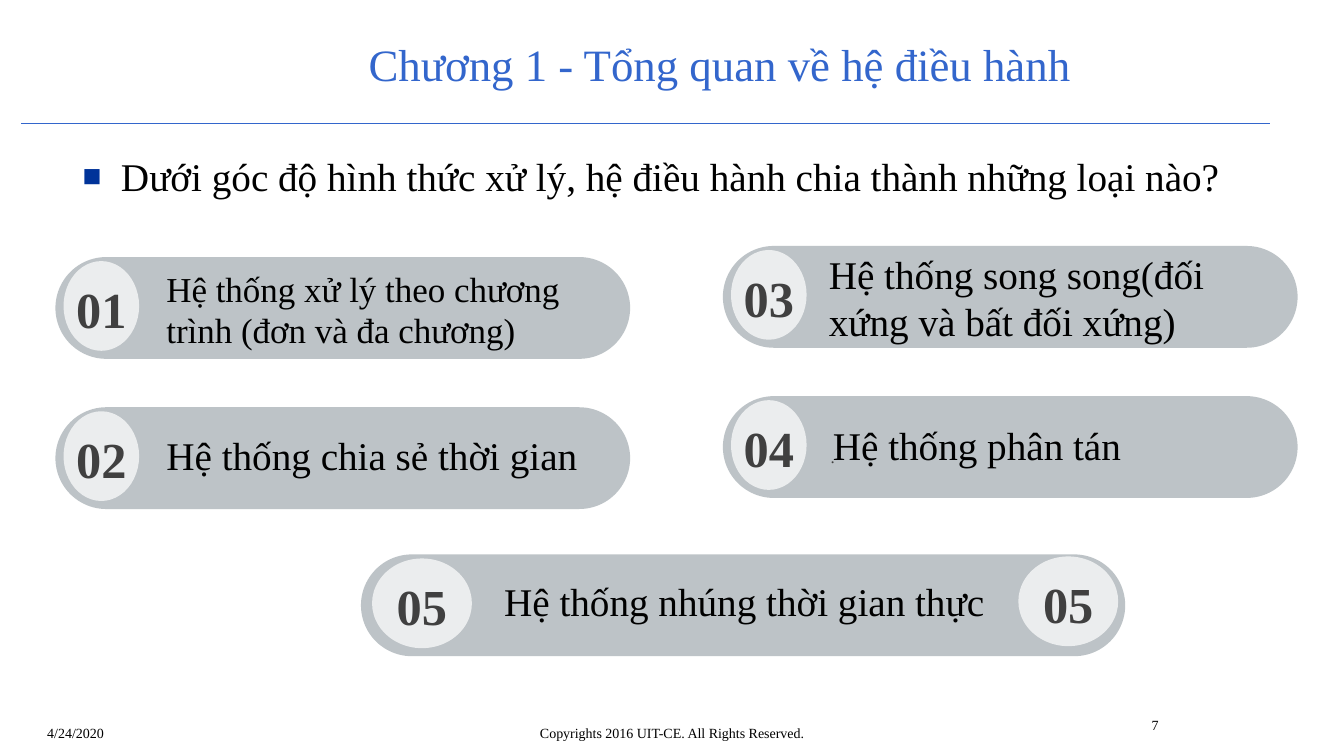
from dataclasses import dataclass

from lxml import etree
from pptx import Presentation
from pptx.dml.color import RGBColor
from pptx.enum.shapes import MSO_CONNECTOR, MSO_SHAPE
from pptx.enum.text import MSO_ANCHOR, MSO_AUTO_SIZE, PP_ALIGN
from pptx.oxml.ns import qn
from pptx.util import Inches, Pt

LEFT, CENTER, RIGHT = PP_ALIGN.LEFT, PP_ALIGN.CENTER, PP_ALIGN.RIGHT
TOP, MIDDLE = MSO_ANCHOR.TOP, MSO_ANCHOR.MIDDLE
PILL, DISC = MSO_SHAPE.ROUNDED_RECTANGLE, MSO_SHAPE.OVAL


@dataclass(frozen=True)
class Theme:
    font: str = "Times New Roman"
    accent: str = "3366CC"
    bullet: str = "003399"
    ink: str = "000000"
    number: str = "404040"
    pill: str = "5B6973"
    disc: str = "FFFFFF"
    title_size: int = 32
    body_size: int = 28
    compact_size: int = 25
    number_size: int = 36
    dot_size: int = 12
    footer_size: int = 10


THEME = Theme()
SLIDE_SIZE = (13.33, 7.5)
COLUMNS = (0.55, 7.17)
COLUMN_TOPS = (2.55, 2.44)
ROW_PITCH = 1.49
PILL_SIZE = (5.7, 1.01)
WIDE_PILL = (3.58, 5.5, 7.58, 1.01)

# column, row, number, text, type size, text box relative to the pill
SYSTEMS = (
    (0, 0, "01", "Hệ thống xử lý theo chương trình (đơn và đa chương)",
     THEME.compact_size, (0.98, 0.05, 4.72, 0.94)),
    (0, 1, "02", "Hệ thống chia sẻ thời gian", THEME.body_size, (0.98, 0.19, 4.72, 0.57)),
    (1, 0, "03", "Hệ thống song song(đối xứng và bất đối xứng)",
     THEME.body_size, (0.93, -0.01, 4.28, 1.04)),
    (1, 1, "04", "Hệ thống phân tán", THEME.body_size, (0.97, 0.2, 4.28, 0.57)),
)


def inches(box):
    return [Inches(length) for length in box]


def write(frame, text, size, color=THEME.ink, align=LEFT, anchor=TOP, bold=False):
    frame.word_wrap = True
    frame.auto_size = MSO_AUTO_SIZE.NONE
    frame.vertical_anchor = anchor
    para = frame.paragraphs[0]
    para.text = text
    para.alignment = align
    para.space_before = Pt(0)
    para.font.name = THEME.font
    para.font.size = Pt(size)
    para.font.bold = bold
    para.font.color.rgb = RGBColor.from_string(color)


def add_text(parent, box, text, size, inset=0.12, **style):
    frame = parent.shapes.add_textbox(*inches(box)).text_frame
    frame.margin_left = frame.margin_right = Inches(inset)
    write(frame, text, size, **style)


def add_glass(parent, kind, box, color, alpha):
    """Adds a borderless shape whose fill has the given opacity in percent."""
    shape = parent.shapes.add_shape(kind, *inches(box))
    shape.shadow.inherit = False
    shape.line.fill.background()
    shape.fill.solid()
    shape.fill.fore_color.rgb = RGBColor.from_string(color)
    tint = shape.fill._xPr.find(".//" + qn("a:srgbClr"))
    etree.SubElement(tint, qn("a:alpha"), val=str(alpha * 1000))
    return shape


def add_badge(parent, left, top, width, number):
    add_glass(parent, DISC, (left, top, width, 0.89), THEME.disc, 70)
    box = (left - width * 0.1, top + 0.11, width * 1.2, 0.71)
    add_text(parent, box, number, THEME.number_size, color=THEME.number,
             align=CENTER, anchor=MIDDLE, bold=True)


def add_pill(page, box, number, text, size, text_box, disc=(0.08, 0.75)):
    left, top = box[:2]
    group = page.shapes.add_group_shape()
    add_glass(group, PILL, box, THEME.pill, 40).adjustments[0] = 0.5
    add_badge(group, left + disc[0], top + 0.04, disc[1], number)
    dx, dy, width, height = text_box
    add_text(group, (left + dx, top + dy, width, height), text, size)
    return group


def place(holder, box):
    holder.left, holder.top, holder.width, holder.height = inches(box)
    return holder.text_frame


def add_heading(page):
    rule = page.shapes.add_connector(MSO_CONNECTOR.STRAIGHT, *inches((0.21, 1.23, 12.6, 1.23)))
    rule.line.color.rgb = RGBColor.from_string(THEME.accent)
    rule.line.width = Pt(0.75)
    etree.SubElement(rule._element.spPr, qn("a:effectLst"))
    write(place(page.shapes.title, (3.12, 0.25, 8.04, 0.76)),
          "Chương 1 - Tổng quan về hệ điều hành", THEME.title_size,
          color=THEME.accent, align=CENTER, anchor=MIDDLE)


def add_question(page):
    frame = place(page.placeholders[1], (0.72, 1.46, 12.6, 0.71))
    props = frame.paragraphs[0]._p.get_or_add_pPr()
    props.set("marL", str(Inches(0.38)))
    props.set("indent", str(-Inches(0.38)))
    color = etree.SubElement(props, qn("a:buClr"))
    etree.SubElement(color, qn("a:srgbClr"), val=THEME.bullet)
    etree.SubElement(props, qn("a:buSzPct"), val="80000")
    etree.SubElement(props, qn("a:buFont"), typeface=THEME.font)
    etree.SubElement(props, qn("a:buChar"), char="■")
    write(frame, "Dưới góc độ hình thức xử lý, hệ điều hành chia thành những loại nào?",
          THEME.body_size)


def add_systems(page):
    for column, row, number, text, size, text_box in SYSTEMS:
        box = (COLUMNS[column], COLUMN_TOPS[column] + row * ROW_PITCH, *PILL_SIZE)
        group = add_pill(page, box, number, text, size, text_box)
    # Small dot beside the text of the last pill in the grid
    add_text(group, (8.14, 4.38, 4.28, 0.3), ".", THEME.dot_size,
             inset=0.1, color=THEME.number)
    # Wide pill with a badge at each end
    add_pill(page, WIDE_PILL, "05", "Hệ thống nhúng thời gian thực", THEME.body_size,
             (1.3, 0.18, 5.24, 1.04), disc=(0.11, 0.99))
    add_badge(page, 10.1, 5.52, 0.99, "05")


def add_footer(page):
    for box, text, align in (
        ((11.09, 7.06, 0.5, 0.52), "7", RIGHT),
        ((0.37, 7.14, 3.11, 0.32), "4/24/2020", LEFT),
        ((2.57, 7.14, 8.19, 0.32), "Copyrights 2016 UIT-CE. All Rights Reserved.", CENTER),
    ):
        add_text(page, box, text, THEME.footer_size, inset=0.1, align=align)


def main():
    deck = Presentation()
    deck.slide_width, deck.slide_height = inches(SLIDE_SIZE)
    page = deck.slides.add_slide(deck.slide_layouts[1])
    add_heading(page)
    add_question(page)
    add_systems(page)
    add_footer(page)
    deck.save("out.pptx")


if __name__ == "__main__":
    main()
